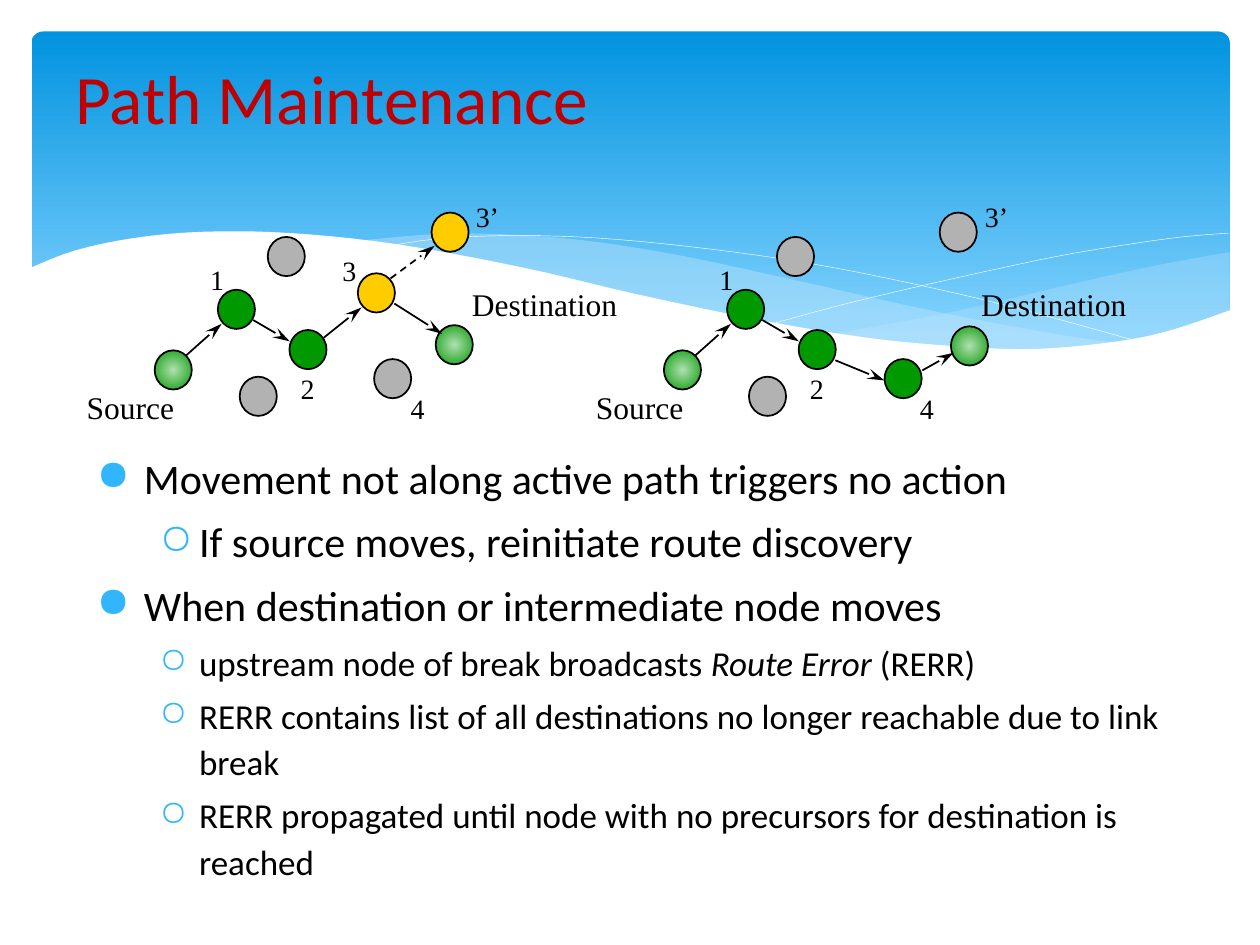
from dataclasses import dataclass
from lxml.etree import SubElement
from pptx import Presentation
from pptx.dml.color import RGBColor
from pptx.enum.dml import MSO_LINE as Dash
from pptx.enum.shapes import MSO_CONNECTOR as Connector, MSO_SHAPE as Shape
from pptx.enum.text import MSO_ANCHOR as Anchor, MSO_AUTO_SIZE as AutoSize, PP_ALIGN as Align
from pptx.oxml.ns import qn
from pptx.util import Pt


@dataclass
class Theme:
    sky_top: str = "0293E0"
    sky_bottom: str = "83D3FE"
    wave: str = "C6E7FC"
    white: str = "FFFFFF"
    black: str = "000000"
    title: str = "C00000"
    bullet: str = "31B6FD"
    idle: str = "B2B2B2"
    active: str = "009900"
    glow: str = "B2E0B2"
    moved: str = "FFCC00"
    sans: str = "Calibri"
    serif: str = "Times New Roman"
    title_size: float = 39.6
    body_size: float = 24
    detail_size: float = 20
    name_size: float = 18
    number_size: float = 16


def rgb(value):
    return RGBColor.from_string(value)


def smooth(knots, steps=5):
    """Points of a Catmull-Rom curve through the knots."""
    ends = [knots[0], *knots, knots[-1]]
    points = [knots[0]]
    for a, b, c, d in zip(ends, ends[1:], ends[2:], ends[3:]):
        for step in range(1, steps + 1):
            t = step / steps
            points.append(tuple(
                (2 * q + (r - p) * t + (2 * p - 5 * q + 4 * r - s) * t ** 2
                 + (3 * q - p - 3 * r + s) * t ** 3) / 2
                for p, q, r, s in zip(a, b, c, d)))
    return points


class Painter:
    NODE = (21.2, 22.4)

    def __init__(self, slide, theme):
        self.slide, self.shapes, self.theme = slide, slide.shapes, theme

    def style(self, span, size, color, font, italic=False):
        span.font.size, span.font.name, span.font.italic = Pt(size), font, italic
        span.font.color.rgb = rgb(color)

    def gradient(self, shape, first, last, end=1.0):
        shape.fill.gradient()
        for stop, color, place in zip(shape.fill.gradient_stops, (first, last), (0, end)):
            stop.color.rgb, stop.position = rgb(color), place

    def sky(self, left, top, width, height):
        box = self.shapes.add_shape(Shape.ROUNDED_RECTANGLE, Pt(left), Pt(top), Pt(width), Pt(height))
        box.adjustments[0] = 0.034
        box.shadow.inherit = False
        self.gradient(box, self.theme.sky_top, self.theme.sky_bottom, 0.9)
        box.fill.gradient_angle = 270
        box.line.fill.background()

    def wave(self, points, fill=None, alpha=None):
        corners = [(Pt(x), Pt(y)) for x, y in points]
        builder = self.shapes.build_freeform(*corners[0], scale=1.0)
        builder.add_line_segments(corners[1:], close=fill is not None)
        shape = builder.convert_to_shape()
        shape.shadow.inherit = False
        if fill is None:
            shape.fill.background()
            shape.line.color.rgb, shape.line.width = rgb(self.theme.white), Pt(0.25)
            return
        shape.fill.solid()
        shape.fill.fore_color.rgb = rgb(fill)
        shape.line.fill.background()
        if alpha:
            color = shape._element.spPr.find(".//" + qn("a:srgbClr"))
            SubElement(color, qn("a:alpha")).set("val", str(alpha * 1000))

    def title(self, text, left, top, width, height):
        box = self.shapes.title
        box.left, box.top, box.width, box.height = Pt(left), Pt(top), Pt(width), Pt(height)
        self.shapes._spTree.append(box._element)  # in front of the waves
        frame = box.text_frame
        frame.text = text
        frame.auto_size, frame.vertical_anchor = AutoSize.NONE, Anchor.MIDDLE
        frame.paragraphs[0].alignment = Align.LEFT
        self.style(frame.paragraphs[0].runs[0], self.theme.title_size, self.theme.title, self.theme.sans)

    def bullets(self, items, left, top, width, height):
        frame = self.shapes.add_textbox(Pt(left), Pt(top), Pt(width), Pt(height)).text_frame
        frame.word_wrap = True
        for index, (level, size, texts) in enumerate(items):
            para = frame.add_paragraph() if index else frame.paragraphs[0]
            para.level, para.line_spacing = level, 1.1
            if index:
                para.space_before = Pt(size * 0.2)
            margin, hang, mark = ((27, 27, "●"), (58.5, 22.5, "○"))[level]
            props = para._p.get_or_add_pPr()
            props.set("marL", str(Pt(margin)))
            props.set("indent", str(-Pt(hang)))
            SubElement(SubElement(props, qn("a:buClr")), qn("a:srgbClr")).set("val", self.theme.bullet)
            SubElement(props, qn("a:buChar")).set("char", mark)
            for place, text in enumerate(texts):  # every second span is italic
                span = para.add_run()
                span.text = text
                self.style(span, size, self.theme.black, self.theme.sans, place % 2 == 1)

    def node(self, left, top, fill=None):
        width, height = self.NODE
        dot = self.shapes.add_shape(Shape.OVAL, Pt(left), Pt(top), Pt(width), Pt(height))
        dot.shadow.inherit = False
        dot.line.color.rgb, dot.line.width = rgb(self.theme.black), Pt(1)
        if fill:
            dot.fill.solid()
            dot.fill.fore_color.rgb = rgb(fill)
            return
        # Route ends glow from the centre
        self.gradient(dot, self.theme.glow, self.theme.active)
        grad = dot._element.spPr.find(qn("a:gradFill"))
        grad.remove(grad.find(qn("a:lin")))
        radial = SubElement(grad, qn("a:path"))
        radial.set("path", "circle")
        center = SubElement(radial, qn("a:fillToRect"))
        for side in "ltrb":
            center.set(side, "50000")

    def arrow(self, x1, y1, x2, y2, dashed=False):
        link = self.shapes.add_connector(Connector.STRAIGHT, Pt(x1), Pt(y1), Pt(x2), Pt(y2))
        link.line.color.rgb, link.line.width = rgb(self.theme.black), Pt(1)
        if dashed:
            link.line.dash_style = Dash.DASH
        head = SubElement(link.line._get_or_add_ln(), qn("a:tailEnd"))
        head.set("type", "stealth")
        head.set("len", "lg")
        SubElement(link._element.spPr, qn("a:effectLst"))

    def label(self, text, left, top):
        width = {"Source": 64.8, "Destination": 97.2, "3’": 28}.get(text, 22.3)
        size = self.theme.name_size if len(text) > 2 else self.theme.number_size
        frame = self.shapes.add_textbox(Pt(left), Pt(top), Pt(width), Pt(size * 1.2 + 7.2)).text_frame
        frame.text = text
        frame.word_wrap, frame.auto_size = False, AutoSize.SHAPE_TO_FIT_TEXT
        self.style(frame.paragraphs[0].runs[0], size, self.theme.black, self.theme.serif)


# Wave outlines
RIGHT_TOP = [(475.9, 190.8), (542.2, 178.6), (619.9, 160.6), (663.1, 151.2), (702.7, 144)]
RIGHT_BOTTOM = [(702.7, 177.8), (668.2, 189.4), (634.3, 196.6), (586.1, 200.2), (536.4, 198), (475.9, 190.8)]
BAND_TOP = [(205.9, 137.5), (247.7, 133.9), (287.3, 133.9), (334.8, 137.5), (389.5, 146.2),
            (452.9, 159.8), (533.5, 177.8), (602.6, 190.8), (643, 196.6)]
BAND_BOTTOM = [(643, 196.6), (603.4, 200.2), (565.2, 200.2), (519.8, 197.3), (456.5, 187.9),
               (381.6, 172.8), (307.4, 155.5), (260.6, 146.2), (205.9, 137.5)]
FALLING = [(222.5, 140.4), (254.2, 136.1), (299.5, 134.6), (352.1, 136.8), (419, 144),
           (478.8, 153.4), (547.2, 167.8), (598.3, 180.7), (653, 195.8)]
RISING = [(441.4, 185), (483.8, 173.5), (538.6, 160.6), (601.9, 146.9), (644.4, 139.7),
          (675.4, 135.4), (702, 133.2)]
PAGE_EDGE = [(16.6, 153.4), (42.5, 143.3), (76.3, 136.1), (115.9, 132.5), (165.6, 133.2),
             (227.5, 139.7), (301, 153.4), (362.2, 167.8), (434.2, 182.9), (495.4, 193),
             (547.9, 198), (592.6, 199.4), (638.6, 195.1), (669.6, 188.6), (703.4, 177.1)]


def main():
    theme = Theme()
    deck = Presentation()
    deck.slide_width, deck.slide_height = Pt(720), Pt(540)
    page = Painter(deck.slides.add_slide(deck.slide_layouts[5]), theme)

    # Background
    page.sky(18, 18, 684.7, 194.4)
    page.wave(smooth(RIGHT_TOP) + smooth(RIGHT_BOTTOM), theme.wave, 29)
    page.wave(smooth(BAND_TOP) + smooth(BAND_BOTTOM), theme.wave, 40)
    page.wave(smooth(FALLING))
    page.wave(smooth(RISING))
    page.wave(smooth(PAGE_EDGE) + [(703.4, 236.9), (16.6, 236.9)], theme.white)

    # Title and text
    page.title("Path Maintenance", 36, 26.6, 648, 57.6)
    body, detail = theme.body_size, theme.detail_size
    page.bullets([
        (0, body, ["Movement not along active path triggers no action"]),
        (1, body, ["If source moves, reinitiate route discovery"]),
        (0, body, ["When destination or intermediate node moves"]),
        (1, detail, ["upstream node of break broadcasts ", "Route Error", " (RERR)"]),
        (1, detail, ["RERR contains list of all destinations no longer reachable due to link break"]),
        (1, detail, ["RERR propagated until node with no precursors for destination is reached"]),
    ], 48.2, 252, 650.9, 252)

    # Parts that both networks share
    for shift in (0, 291):
        for left, top, fill in [(153, 135.4, theme.idle), (137, 215.3, theme.idle),
                                (124.5, 165.6, theme.active), (165.4, 188.6, theme.active),
                                (88.4, 200.2, None)]:
            page.node(left + shift, top, fill)
        for x1, y1, x2, y2 in [(106.5, 203, 126.7, 185), (144.7, 182.9, 165.6, 195.1)]:
            page.arrow(x1 + shift, y1, x2 + shift, y2)
        for text, left, top in [("Source", 42.5, 218.2), ("Destination", 262.6, 159.1),
                                ("1", 113, 146.2), ("2", 164.7, 208.8),
                                ("4", 227.5, 220.3), ("3’", 264.8, 110.5)]:
            page.label(text, left + shift, top)

    # Before the break: route through 3, which moves to 3’
    page.label("3", 188.6, 141.1)
    for left, top, fill in [(213.8, 205.2, theme.idle), (204.5, 156.2, theme.moved),
                            (246.6, 121.5, theme.moved), (249, 185.8, None)]:
        page.node(left, top, fill)
    page.arrow(185, 193, 206.6, 175.7)
    page.arrow(225.4, 173.5, 252.7, 190.8)
    page.arrow(223.2, 159.1, 248.4, 140.4, dashed=True)

    # After the repair: route through 4
    for left, top, fill in [(537, 121.5, theme.idle), (505.5, 205.2, theme.active), (543.4, 186.5, None)]:
        page.node(left, top, fill)
    page.arrow(477.4, 205.9, 505.4, 217.4)
    page.arrow(527, 211.7, 545, 201.6)

    deck.save("out.pptx")


if __name__ == "__main__":
    main()
